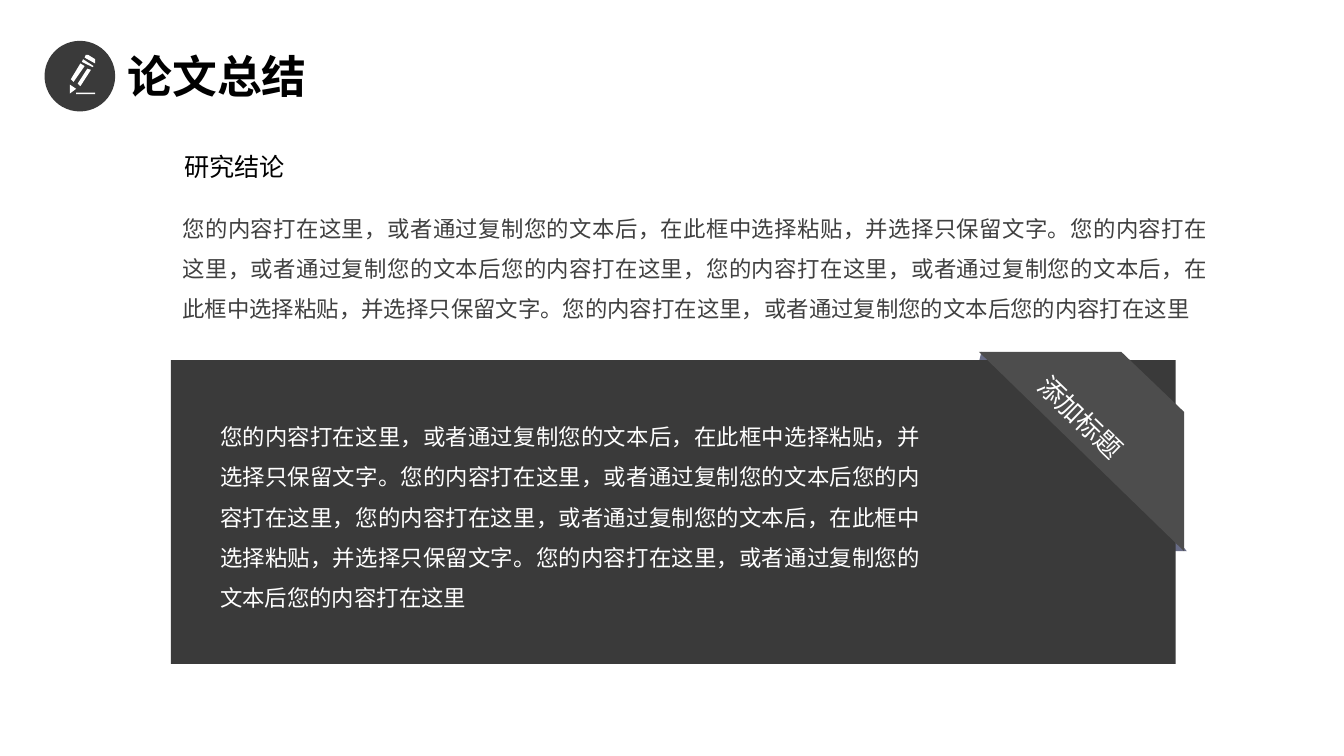
from pptx import Presentation
from pptx.dml.color import RGBColor
from pptx.enum.shapes import MSO_SHAPE as Preset
from pptx.enum.text import MSO_ANCHOR as Anchor, PP_ALIGN as Align
from pptx.oxml.ns import qn
from pptx.util import Cm, Pt
from lxml.etree import SubElement

BLACK = RGBColor(0x00, 0x00, 0x00)
WHITE = RGBColor(0xFF, 0xFF, 0xFF)
GRAY = RGBColor(0x40, 0x40, 0x40)
CHARCOAL = RGBColor(0x3A, 0x3A, 0x3A)
RIBBON = RGBColor(0x4D, 0x4D, 0x4D)
FOLD = RGBColor(0x68, 0x6C, 0x86)
SANS = "Noto Sans CJK SC"

PASTE = "您的内容打在这里，或者通过复制您的文本后"
HALF = f"{PASTE}，在此框中选择粘贴，并选择只保留文字。{PASTE}您的内容打在这里"
BODY = f"{HALF}，{HALF}"

PENCIL = [
    [(0.76, 0.25), (0.81, 0.25), (0.94, 0.33), (0.94, 0.41), (0.74, 0.3)],
    [(0.71, 0.33), (0.69, 0.38), (0.89, 0.48), (0.91, 0.46)],
    [(0.46, 0.98), (0.46, 0.81), (0.58, 0.89)],
    [(0.48, 0.71), (0.66, 0.41), (0.74, 0.46), (0.53, 0.76)],
    [(0.61, 0.79), (0.79, 0.51), (0.86, 0.53), (0.66, 0.84)],
    [(0.58, 0.96), (0.94, 0.96), (0.94, 0.99), (0.58, 0.99)],
]
BAND = [(0, 0), (3.88, 3.77), (3.88, 1.14), (2.69, 0)]
FOLDS = [
    [(3.93, 3.77), (3.63, 3.77), (3.63, 3.4)],
    [(0.05, 0), (0, 0.2), (0.33, 0.2)],
]


def paint(shape, color):
    """Give a shape a flat fill with no outline or shadow."""
    shape.shadow.inherit = False
    shape.fill.solid()
    shape.fill.fore_color.rgb = color
    shape.line.fill.background()
    return shape


def add_preset(slide, preset, left, top, width, height, color):
    """Add a flat preset shape."""
    shape = slide.shapes.add_shape(preset, Cm(left), Cm(top), Cm(width), Cm(height))
    return paint(shape, color)


def add_outline(slide, left, top, contours, color):
    """Add a freeform of closed contours measured from a corner."""
    contours = [[(Cm(left + x), Cm(top + y)) for x, y in points] for points in contours]
    builder = slide.shapes.build_freeform(*contours[0][0], scale=1.0)
    for index, points in enumerate(contours):
        if index:
            builder.move_to(*points[0])
        builder.add_line_segments(points[1:], close=True)
    return paint(builder.convert_to_shape(), color)


def write(shape, text, size=12, color=BLACK, font=SANS, bold=False,
          align=Align.LEFT, anchor=Anchor.TOP, spacing=1.0, wrap=True):
    """Put one formatted paragraph into a shape."""
    frame = shape.text_frame
    frame.word_wrap = wrap
    frame.vertical_anchor = anchor
    paragraph = frame.paragraphs[0]
    paragraph.alignment = align
    paragraph.line_spacing = spacing
    run = paragraph.add_run()
    run.text = text
    run.font.size = Pt(size)
    run.font.bold = bold
    run.font.name = font
    run.font.color.rgb = color
    SubElement(run.font._element, qn("a:ea")).set("typeface", font)


def add_text(slide, left, top, width, height, text, **style):
    """Add a text box with formatted text."""
    box = slide.shapes.add_textbox(Cm(left), Cm(top), Cm(width), Cm(height))
    write(box, text, **style)


def add_header(slide, left, top, size):
    """Place the round pencil icon and the slide title."""
    add_text(slide, left + size, top, 6, size, "论文总结", size=24, font="Arial", bold=True)
    circle = add_preset(slide, Preset.OVAL, left, top, size, size, CHARCOAL)
    circle.line.color.rgb = CHARCOAL
    circle.line.width = Pt(1)
    add_outline(slide, left, top, PENCIL, WHITE)


def add_conclusion(slide, left, top, width):
    """Place the section heading and its paragraph."""
    add_text(slide, left, top + 0.94, width, 3.33, BODY,
             color=GRAY, align=Align.JUSTIFY, spacing=1.5)
    add_text(slide, left + 0.03, top, 3.07, 1.02, "研究结论", size=13.5, wrap=False)


def add_panel(slide, left, top, width, height):
    """Place the dark panel with its text and corner ribbon."""
    ribbon_left, ribbon_top = left + width - 3.72, top - 0.16
    for fold in FOLDS:
        add_outline(slide, ribbon_left, ribbon_top, [fold], FOLD)
    add_preset(slide, Preset.RECTANGLE, left, top, width, height, CHARCOAL)
    add_text(slide, left + 0.68, top + 0.81, 13.74, 4.11, BODY,
             color=WHITE, align=Align.JUSTIFY, spacing=1.5)
    add_outline(slide, ribbon_left, ribbon_top, [BAND], RIBBON)
    label = add_preset(slide, Preset.RECTANGLE, ribbon_left + 0.68, ribbon_top + 0.82,
                       2.51, 0.86, RIBBON)
    label.rotation = 44
    write(label, "添加标题", size=14, color=WHITE, wrap=False)


def main():
    """Build and save the slide."""
    presentation = Presentation()
    presentation.slide_width = Cm(25.4)
    presentation.slide_height = Cm(14.29)
    slide = presentation.slides.add_slide(presentation.slide_layouts[6])
    add_conclusion(slide, 3.2, 2.74, 19.89)
    add_panel(slide, 3.23, 6.81, 18.99, 5.74)
    add_header(slide, 0.86, 0.79, 1.3)
    presentation.save("out.pptx")


main()
